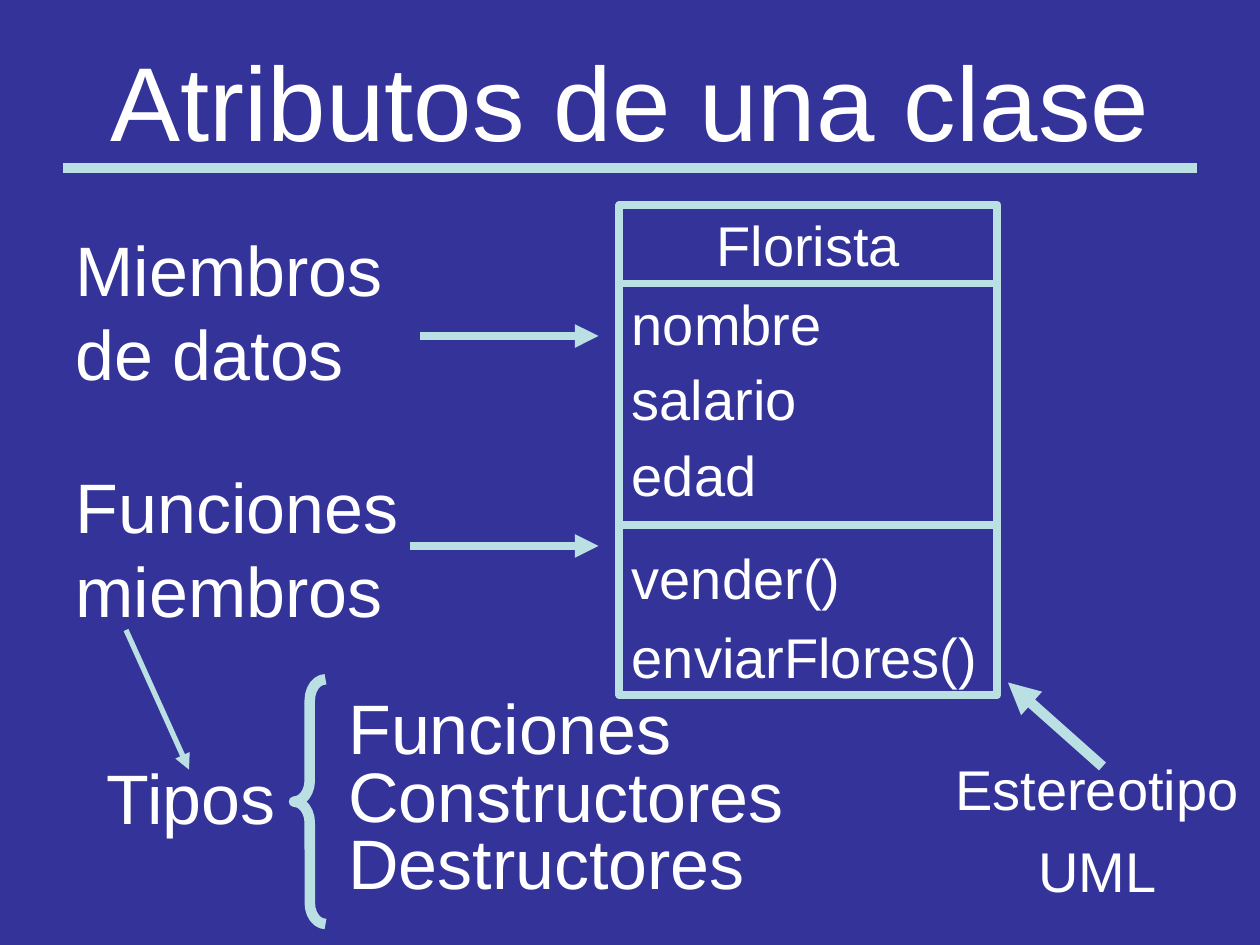
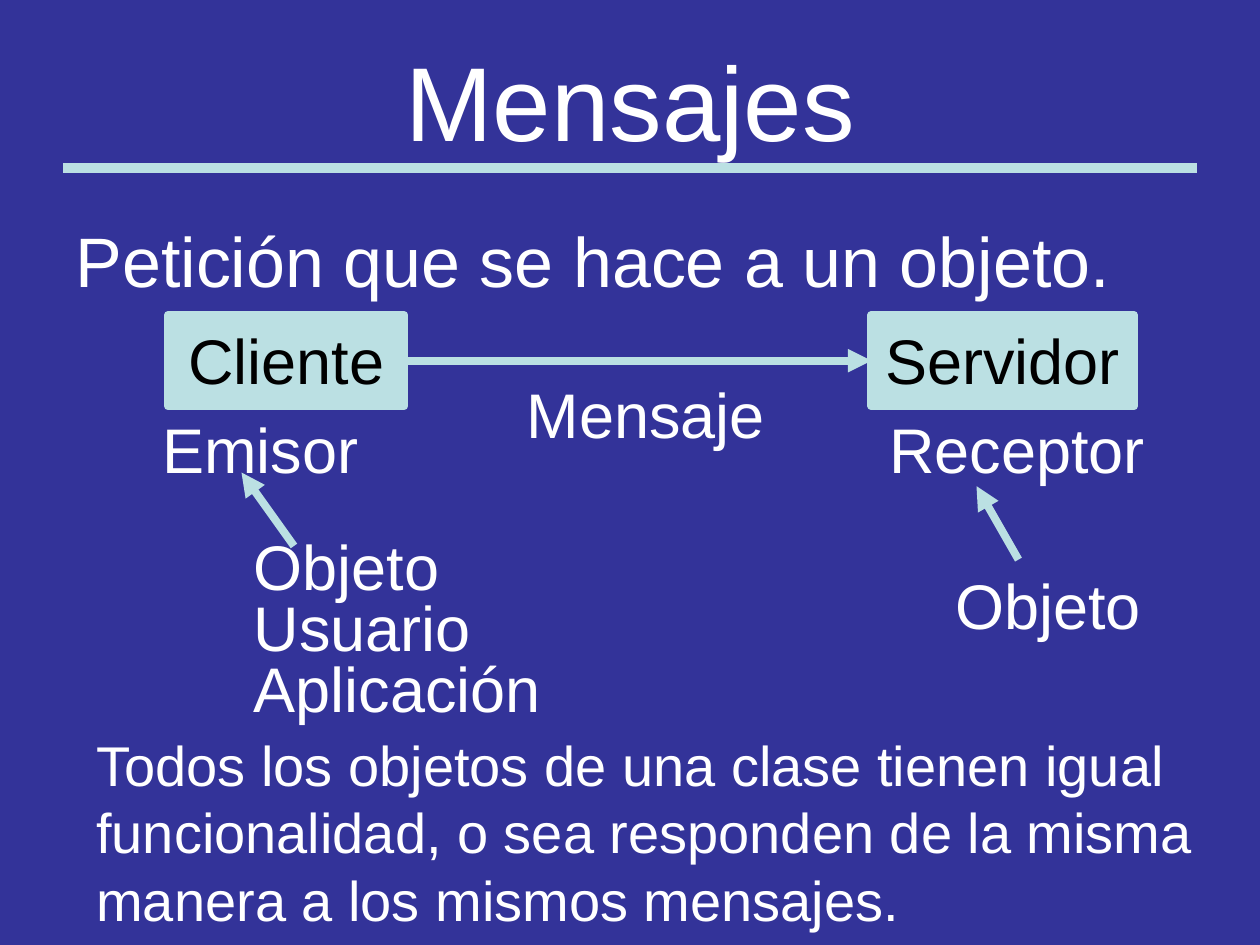
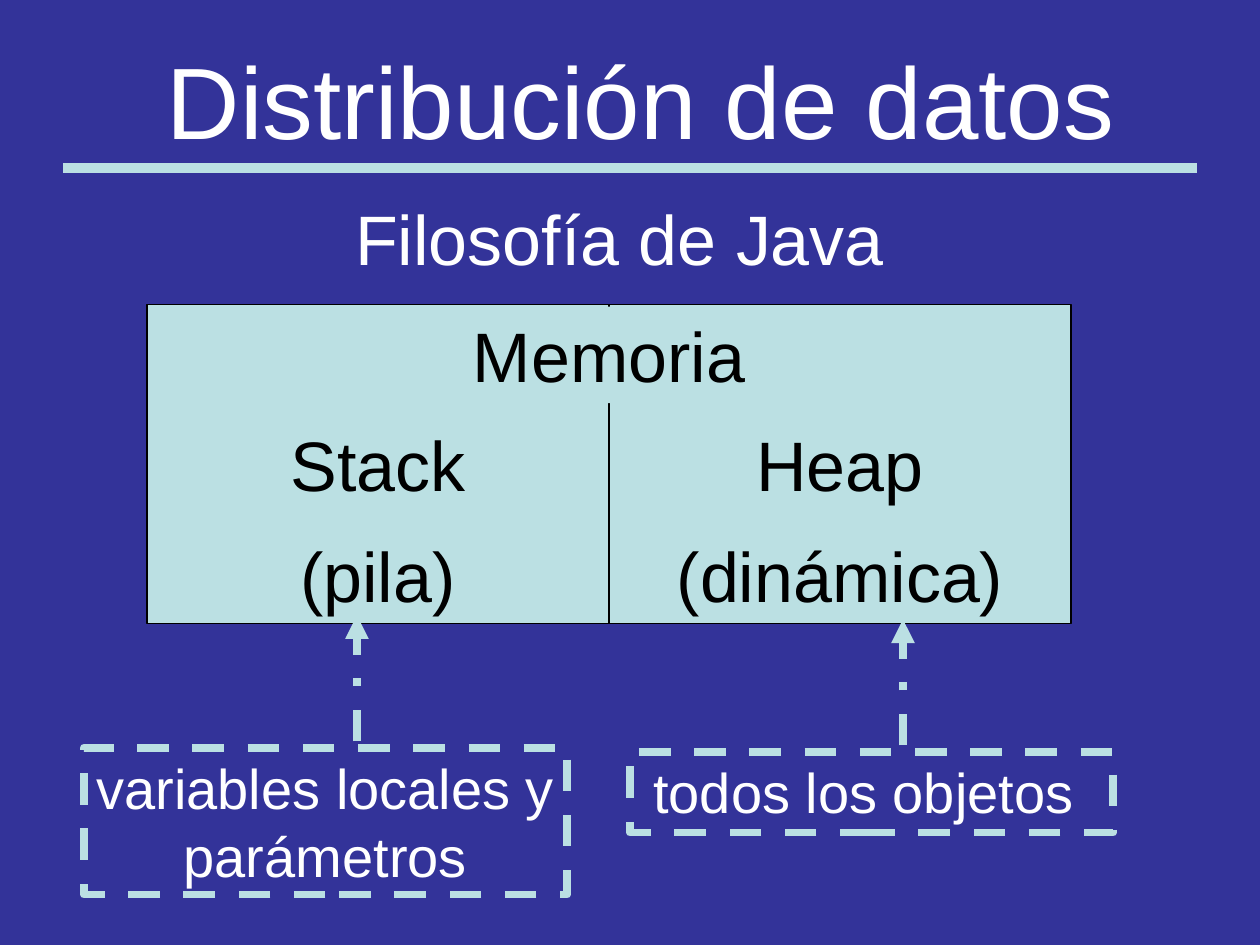
from lxml.etree import SubElement
from pptx import Presentation
from pptx.dml.color import RGBColor
from pptx.enum.dml import MSO_LINE
from pptx.enum.shapes import MSO_CONNECTOR, MSO_SHAPE
from pptx.enum.text import MSO_ANCHOR, MSO_AUTO_SIZE, PP_ALIGN
from pptx.oxml.ns import qn
from pptx.util import Inches, Pt

NAVY = RGBColor(0x33, 0x33, 0x99)
ICE = RGBColor(0xBB, 0xE0, 0xE3)
WHITE = RGBColor(0xFF, 0xFF, 0xFF)
BLACK = RGBColor(0x00, 0x00, 0x00)
FONT = "Arial"
WIDTH, HEIGHT = Inches(10), Inches(7.5)
COLUMNS, ROWS = 120, 90
TITLE_AND_BODY, TITLE_ONLY = 1, 5


def column(count):
    return round(WIDTH * count / COLUMNS)


def row(count):
    return round(HEIGHT * count / ROWS)


def place(area):
    left, top, width, height = area
    return column(left), row(top), column(width), row(height)


def write(shape, lines, size=32, color=WHITE, align=PP_ALIGN.LEFT, spacing=1.0,
          before=0, anchor=MSO_ANCHOR.TOP, top_margin=0.05):
    frame = shape.text_frame
    frame.word_wrap = True
    frame.auto_size = MSO_AUTO_SIZE.NONE
    frame.vertical_anchor = anchor
    frame.margin_top = Inches(top_margin)
    frame.text = "\n".join(lines)
    for paragraph in frame.paragraphs:
        paragraph.alignment = align
        paragraph.line_spacing = spacing
        paragraph.space_before = Pt(before)
        paragraph.font.name = FONT
        paragraph.font.size = Pt(size)
        paragraph.font.color.rgb = color
    return frame.paragraphs


def add_label(slide, area, lines, **text_format):
    return write(slide.shapes.add_textbox(*place(area)), lines, **text_format)


def add_box(slide, area, lines, fill=None, line=ICE, weight=4.5, dash=None, **text_format):
    box = slide.shapes.add_shape(MSO_SHAPE.RECTANGLE, *place(area))
    box.shadow.inherit = False
    if fill is None:
        box.fill.background()
    else:
        box.fill.solid()
        box.fill.fore_color.rgb = fill
    if line is None:
        box.line.fill.background()
    else:
        box.line.color.rgb = line
        box.line.width = Pt(weight)
        box.line.dash_style = dash
    write(box, lines, **text_format)
    return box


def add_line(slide, start, end, weight=4.5, dash=None, arrow=False):
    connector = slide.shapes.add_connector(
        MSO_CONNECTOR.STRAIGHT, column(start[0]), row(start[1]), column(end[0]), row(end[1]))
    connector.line.color.rgb = ICE
    connector.line.width = Pt(weight)
    connector.line.dash_style = dash
    if arrow:
        SubElement(connector.line._get_or_add_ln(), qn("a:tailEnd"), type="triangle")
    SubElement(connector.element.spPr, qn("a:effectLst"))
    return connector


def add_brace(slide, area):
    brace = slide.shapes.add_shape(MSO_SHAPE.LEFT_BRACE, *place(area))
    brace.shadow.inherit = False
    brace.adjustments[0] = 0.67
    brace.fill.background()
    brace.line.color.rgb = ICE
    brace.line.width = Pt(6)


def fill_placeholder(shape, area, lines, **text_format):
    shape.left, shape.top, shape.width, shape.height = place(area)
    return write(shape, lines, **text_format)


def add_slide(presentation, title, layout=TITLE_AND_BODY, area=(6, 2, 108, 15), size=60, spacing=1.0):
    slide = presentation.slides.add_slide(presentation.slide_layouts[layout])
    fill_placeholder(slide.shapes.title, area, [title], size=size, spacing=spacing,
                     align=PP_ALIGN.CENTER, anchor=MSO_ANCHOR.MIDDLE)
    return slide


def fill_body(slide, area, lines, **text_format):
    paragraphs = fill_placeholder(slide.placeholders[1], area, lines, size=40, **text_format)
    for paragraph in paragraphs:
        properties = paragraph._p.get_or_add_pPr()
        properties.set("marL", "0")
        properties.set("indent", "0")
        properties.insert_element_before(
            properties.makeelement(qn("a:buNone")), "a:tabLst", "a:defRPr", "a:extLst")
    return paragraphs


def style_master(presentation, slide):
    master = presentation.slide_master
    master.background.fill.solid()
    master.background.fill.fore_color.rgb = NAVY
    title_rule = add_line(slide, (6, 16), (114, 16), weight=6)
    title_rule.element.nvCxnSpPr.cNvPr.id = 20
    master.shapes.element.append(title_rule.element)


def add_class_box(slide, left, top, width, height):
    box = add_box(slide, (left, top, width, height),
                  ["Florista", "nombre", "salario", "edad", "vender()", "enviarFlores()"],
                  spacing=0.6, before=20)
    paragraphs = box.text_frame.paragraphs
    paragraphs[0].alignment = PP_ALIGN.CENTER
    paragraphs[0].line_spacing = 1.0
    paragraphs[4].line_spacing = 0.5
    paragraphs[4].space_before = Pt(39)
    paragraphs[5].line_spacing = 0.7
    for divider in (27, 50):
        add_line(slide, (left, divider), (left + width, divider))


def build_attributes(presentation):
    slide = add_slide(presentation, "Atributos de una clase")
    style_master(presentation, slide)
    members = fill_body(slide, (6, 21, 39, 42), ["Miembros de datos", "Funciones miembros"], before=10)
    members[1].space_before = Pt(39)
    add_class_box(slide, 59, 19.5, 36, 46.7)
    for left, top in ((40, 32), (39, 52)):
        add_line(slide, (left, top), (57, top), arrow=True)
    add_label(slide, (9, 72.8, 20, 7.7), ["Tipos"], size=40, spacing=0.8)
    add_label(slide, (32, 67.4, 51, 19), ["Funciones", "Constructores", "Destructores"],
              size=40, spacing=0.6, before=10)
    add_brace(slide, (28, 64.7, 3, 23.3))
    add_line(slide, (12, 60), (18, 73.3), weight=3, arrow=True)
    add_label(slide, (89, 73, 31, 13.5), ["Estereotipo", "UML"],
              align=PP_ALIGN.CENTER, spacing=0.7, before=20)
    add_line(slide, (105, 73), (96, 65), weight=6, arrow=True)


def build_messages(presentation):
    slide = add_slide(presentation, "Mensajes")
    fill_body(slide, (6, 21, 108, 11), ["Petición que se hace a un objeto."], spacing=0.9)
    client, server = [
        add_box(slide, (left, 30, width, 8.7), [name], fill=ICE, size=36, color=BLACK,
                align=PP_ALIGN.CENTER)
        for name, left, width in (("Cliente", 16, 22.5), ("Servidor", 83, 25))]
    message = add_line(slide, (38.5, 34.3), (83, 34.3), arrow=True)
    message.begin_connect(client, 3)
    message.end_connect(server, 1)
    for text, left, top, width in (("Mensaje", 49, 35.2, 27), ("Emisor", 14.3, 38.5, 25),
                                   ("Receptor", 83.5, 38.5, 30), ("Objeto", 89.8, 53.4, 24.5)):
        add_label(slide, (left, top, width, 9), [text], size=36)
    add_label(slide, (23, 51, 36, 20.3), ["Objeto", "Usuario", "Aplicación"], size=36, spacing=Pt(35))
    add_line(slide, (28, 52), (23, 45), arrow=True)
    add_line(slide, (97, 53.3), (93, 46.3), arrow=True)
    add_label(slide, (8, 69, 107, 20.4),
              ["Todos los objetos de una clase tienen igual funcionalidad, "
               "o sea responden de la misma manera a los mismos mensajes."])


def build_distribution(presentation):
    slide = add_slide(presentation, "Distribución de datos", layout=TITLE_ONLY,
                      area=(7, 5.3, 108, 10.5), size=58, spacing=0.8)
    add_label(slide, (32, 18, 54, 9.2), ["Filosofía de Java"], size=40, align=PP_ALIGN.CENTER)
    memory = {"fill": ICE, "size": 40, "color": BLACK, "align": PP_ALIGN.CENTER}
    for index, lines in enumerate((["Stack", "(pila)"], ["Heap", "(dinámica)"])):
        add_box(slide, (14 + 44 * index, 29, 44, 30.4), lines, line=BLACK, weight=0.75,
                spacing=0.8, before=25, top_margin=1.06, **memory)
    add_box(slide, (43.5, 29.2, 29, 9.2), ["Memoria"], line=None, **memory)
    for text, left, top, width, height, arrow_left in (
            ("variables locales y parámetros", 8, 71.2, 46, 14, 34),
            ("todos los objetos ", 60, 71.6, 46, 7.7, 86)):
        add_box(slide, (left, top, width, height), [text], dash=MSO_LINE.DASH, align=PP_ALIGN.CENTER)
        add_line(slide, (arrow_left, top - 0.6), (arrow_left, top - 12.6),
                 dash=MSO_LINE.DASH_DOT, arrow=True)


def main():
    presentation = Presentation()
    presentation.slide_width, presentation.slide_height = WIDTH, HEIGHT
    build_attributes(presentation)
    build_messages(presentation)
    build_distribution(presentation)
    presentation.save("out.pptx")


if __name__ == "__main__":
    main()
